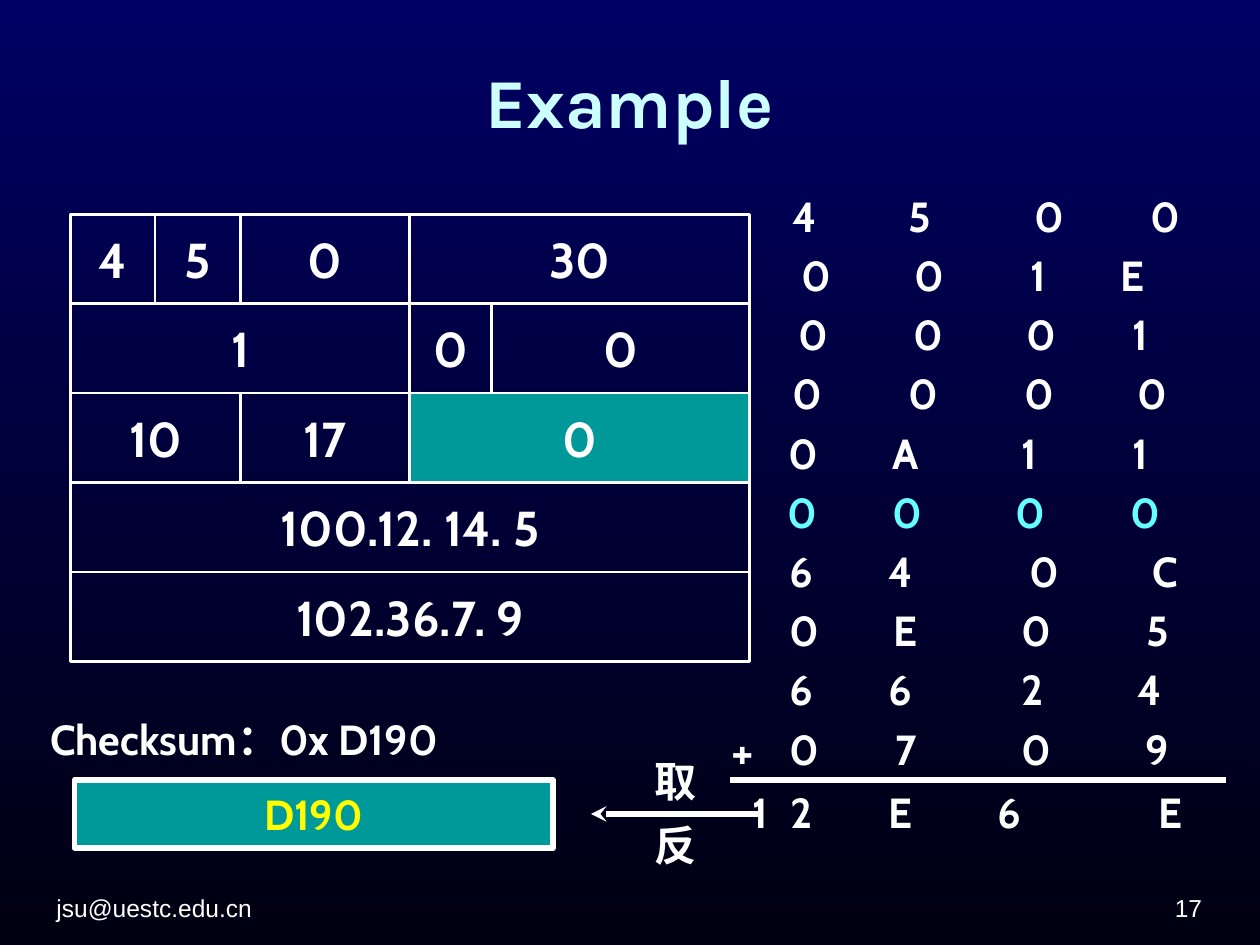
from lxml import etree
from pptx import Presentation
from pptx.dml.color import RGBColor
from pptx.enum import shapes, text
from pptx.oxml.ns import qn
from pptx.util import Inches, Pt

WHITE = RGBColor(0xFF, 0xFF, 0xFF)
TITLE_CYAN = RGBColor(0xCC, 0xFF, 0xFF)
CHECKSUM_CYAN = RGBColor(0x66, 0xFF, 0xFF)
YELLOW = RGBColor(0xFF, 0xFF, 0x00)
TEAL = RGBColor(0x00, 0x99, 0x99)
NAVY = RGBColor(0x00, 0x00, 0x64)
NEAR_BLACK = RGBColor(0x00, 0x00, 0x10)
LEFT, CENTER, RIGHT = text.PP_ALIGN.LEFT, text.PP_ALIGN.CENTER, text.PP_ALIGN.RIGHT
MIDDLE, TOP, BOTTOM = text.MSO_ANCHOR.MIDDLE, text.MSO_ANCHOR.TOP, text.MSO_ANCHOR.BOTTOM

# Each header field: left edge, value; it reaches to the next field's left edge
HEADER_ROWS = [
    [(0.56, "4"), (1.23, "5"), (1.91, "0"), (3.25, "30")],
    [(0.56, "1"), (3.25, "0"), (3.9, "0")],
    [(0.56, "10"), (1.91, "17"), (3.25, "0")],
    [(0.56, "100.12. 14. 5")],
    [(0.56, "102.36.7. 9")],
]
HEADER_TOP, HEADER_RIGHT, HEADER_ROW_HEIGHT = 1.7, 5.95, 0.71
CHECKSUM_FIELD = (2, 2)  # row, field

# Each 16-bit word: hex digits, left of the text, centres of the later digits
WORDS = [
    ("4500", 6.29, (7.3, 8.33, 9.25)),
    ("001E", 6.36, (7.38, 8.24, 8.99)),
    ("0001", 6.34, (7.37, 8.27, 9.05)),
    ("0000", 6.29, (7.33, 8.25, 9.15)),
    ("0A11", 6.26, (7.19, 8.17, 9.05)),
    ("0000", 6.25, (7.2, 8.18, 9.09)),
    ("640C", 6.27, (7.15, 8.29, 9.25)),
    ("0E05", 6.27, (7.19, 8.23, 9.19)),
    ("6624", 6.27, (7.15, 8.2, 9.13)),
    ("0709", 6.27, (7.19, 8.23, 9.19)),
]
SUM = ("12E6E", 5.97, (6.36, 7.15, 8.01, 9.29))
WORDS_TOP, WORD_STEP, SUM_TOP = 1.46, 0.47, 6.19
CHECKSUM_WORD = 5
INSET = 0.1


def write(shape, lines, size, color=WHITE, align=LEFT, anchor=TOP,
          font="Cabin", bold=True, tabs=()):
    frame = shape.text_frame
    frame.word_wrap = True
    frame.vertical_anchor = anchor
    frame.text = lines
    for index, paragraph in enumerate(frame.paragraphs):
        paragraph.alignment = align
        if index:
            paragraph.space_before = Pt(7.5)
        if tabs:
            tab_list = etree.SubElement(paragraph._p.get_or_add_pPr(), qn("a:tabLst"))
            for position in tabs:
                etree.SubElement(tab_list, qn("a:tab"), pos=str(Inches(position)), algn="ctr")
        for run in paragraph.runs:
            run.font.name = font
            run.font.size = Pt(size)
            run.font.bold = bold
            run.font.color.rgb = color


def add_label(slide, box, lines, size, **style):
    write(slide.shapes.add_textbox(*map(Inches, box)), lines, size, **style)


def add_field(slide, box, value, size, fill=None, line_width=1.5, color=WHITE):
    shape = slide.shapes.add_shape(shapes.MSO_SHAPE.RECTANGLE, *map(Inches, box))
    shape.shadow.inherit = False
    if fill is None:
        shape.fill.background()
    else:
        shape.fill.solid()
        shape.fill.fore_color.rgb = fill
    shape.line.color.rgb = WHITE
    shape.line.width = Pt(line_width)
    write(shape, value, size, color=color, align=CENTER, anchor=MIDDLE)


def add_word(slide, word, top, color=WHITE):
    """One row of hex digits, spaced by centred tab stops."""
    digits, left, centers = word
    add_label(slide, (left - INSET, top, 9.75 - left, 0.5), "\t".join(digits), 24,
              color=color, tabs=[center - left for center in centers])


def add_line(slide, start, end, arrow=False):
    line = slide.shapes.add_connector(shapes.MSO_CONNECTOR.STRAIGHT,
                                      *map(Inches, start + end))
    line.line.color.rgb = WHITE
    line.line.width = Pt(3)
    if arrow:
        etree.SubElement(line.line._get_or_add_ln(), qn("a:tailEnd"), type="stealth")
    etree.SubElement(line._element.spPr, qn("a:effectLst"))


def main():
    presentation = Presentation()
    presentation.slide_width, presentation.slide_height = Inches(10), Inches(7.5)
    slide = presentation.slides.add_slide(presentation.slide_layouts[6])
    background = slide.background.fill
    background.gradient()
    background.gradient_angle = 270
    for stop, color in zip(background.gradient_stops, (NAVY, NEAR_BLACK)):
        stop.color.rgb = color

    add_label(slide, (0.35, 0.13, 9.29, 1.34), "Example", 40, color=TITLE_CYAN,
              align=CENTER, anchor=MIDDLE, font="Karla")
    for left, words, align in ((0.35, "jsu@uestc.edu.cn", LEFT), (7.31, "17", RIGHT)):
        add_label(slide, (left, 6.9, 2.33, 0.47), words, 14, align=align,
                  anchor=BOTTOM, font="Arial", bold=False)

    for row, fields in enumerate(HEADER_ROWS):
        top = HEADER_TOP + row * HEADER_ROW_HEIGHT
        edges = [left for left, _ in fields] + [HEADER_RIGHT]
        for column, (left, value) in enumerate(fields):
            fill = TEAL if (row, column) == CHECKSUM_FIELD else None
            box = (left, top, edges[column + 1] - left, HEADER_ROW_HEIGHT)
            add_field(slide, box, value, 28, fill)

    for index, word in enumerate(WORDS):
        color = CHECKSUM_CYAN if index == CHECKSUM_WORD else WHITE
        add_word(slide, word, WORDS_TOP + index * WORD_STEP, color)
    add_label(slide, (5.71, 5.67, 0.42, 0.57), "+", 28)
    add_line(slide, (5.79, 6.19), (9.73, 6.19))
    add_word(slide, SUM, SUM_TOP)

    add_line(slide, (6.02, 6.46), (4.69, 6.46), arrow=True)
    add_label(slide, (5.1, 5.95, 0.6, 1.01), "取\n反", 24)
    add_label(slide, (0.3, 5.61, 3.7, 0.5), "Checksum：0x D190", 24)
    add_field(slide, (0.59, 6.19, 3.8, 0.54), "D190", 24, TEAL, 3, YELLOW)

    presentation.save("out.pptx")


if __name__ == "__main__":
    main()
